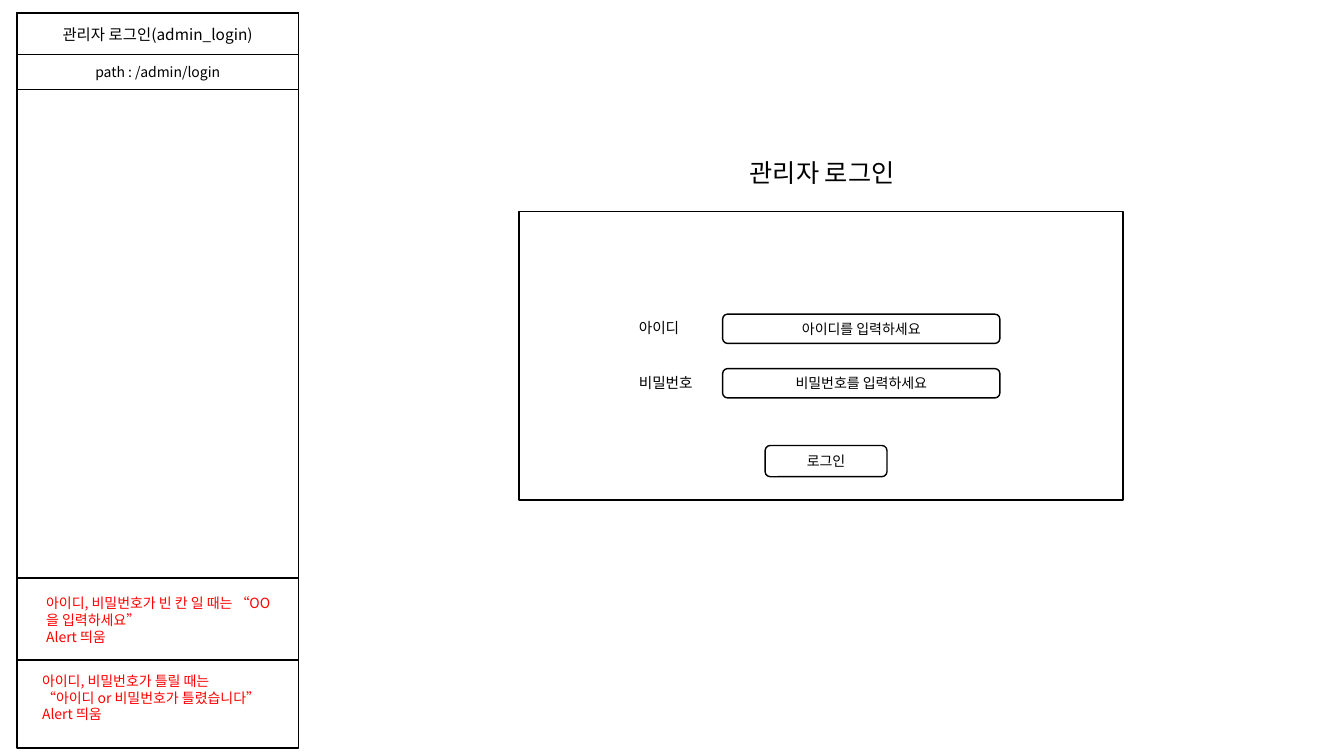
from pptx import Presentation
from pptx.dml.color import RGBColor
from pptx.enum import shapes, text
from pptx.oxml import ns
from pptx.util import Pt
from lxml import etree

BLACK = RGBColor(0x00, 0x00, 0x00)
WHITE = RGBColor(0xFF, 0xFF, 0xFF)
RED = RGBColor(0xFF, 0x00, 0x00)
FONT = "Noto Sans CJK KR"
RECT = shapes.MSO_SHAPE.RECTANGLE
ROUNDED = shapes.MSO_SHAPE.ROUNDED_RECTANGLE
LEFT, CENTER = text.PP_ALIGN.LEFT, text.PP_ALIGN.CENTER
TOP, MIDDLE = text.MSO_ANCHOR.TOP, text.MSO_ANCHOR.MIDDLE


def write(sp, lines, size, color=BLACK, align=LEFT, anchor=TOP):
    tf = sp.text_frame
    tf.word_wrap = True
    tf.auto_size = text.MSO_AUTO_SIZE.NONE
    tf.vertical_anchor = anchor
    tf.margin_left = tf.margin_right = Pt(7.2)
    tf.margin_top = tf.margin_bottom = Pt(3.6)
    for i, line in enumerate(lines):
        p = tf.add_paragraph() if i else tf.paragraphs[0]
        p.alignment = align
        r = p.add_run()
        r.text = line
        r.font.size = Pt(size)
        r.font.color.rgb = color
        r.font.name = FONT
        ea = etree.SubElement(r.font._element, ns.qn("a:ea"))
        ea.set("typeface", FONT)


def add_box(s, kind, x, y, w, h, label=None, size=10):
    sp = s.shapes.add_shape(kind, Pt(x), Pt(y), Pt(w), Pt(h))
    sp.shadow.inherit = False
    sp.fill.solid()
    sp.fill.fore_color.rgb = WHITE
    sp.line.color.rgb = BLACK
    sp.line.width = Pt(1)
    if label:
        write(sp, [label], size, align=CENTER, anchor=MIDDLE)


def add_text(s, x, y, w, h, lines, size, color=BLACK):
    sp = s.shapes.add_textbox(Pt(x), Pt(y), Pt(w), Pt(h))
    write(sp, lines, size, color)


def add_divider(s, x, y, w):
    line = s.shapes.add_connector(shapes.MSO_CONNECTOR.STRAIGHT, Pt(x), Pt(y), Pt(x + w), Pt(y))
    line.line.color.rgb = BLACK
    line.line.width = Pt(1.5)
    etree.SubElement(line._element.spPr, ns.qn("a:effectLst"))


def add_spec_panel(s, x, y, w, h):
    """Side panel: page name, path, and the alert rules at the bottom."""
    add_box(s, RECT, x, y, w, h)
    add_box(s, RECT, x, y, w, 29.5, "관리자 로그인(admin_login)", 11)
    add_box(s, RECT, x, y + 29.5, w, 25.2, "path : /admin/login")
    notes = [
        (403.2, 13.7, 8.6, ["아이디, 비밀번호가 빈 칸 일 때는 “OO을 입력하세요”", "Alert 띄움"]),
        (462.2, 10.8, 5, ["아이디, 비밀번호가 틀릴 때는", "“아이디 or 비밀번호가 틀렸습니다”", "Alert 띄움"]),
    ]
    for top, indent, gap, lines in notes:
        add_divider(s, x, y + top, w)
        add_text(s, x + indent, y + top + gap, 175, 43.9, lines, 10, RED)


def add_title(s, x, y, w, h):
    title = s.shapes.title
    title.left, title.top, title.width, title.height = Pt(x), Pt(y), Pt(w), Pt(h)
    write(title, ["관리자 로그인"], 18, align=CENTER)


def add_login_form(s, x, y, w, h):
    add_box(s, RECT, x, y, w, h)
    fields = [("아이디", "아이디를 입력하세요"), ("비밀번호", "비밀번호를 입력하세요")]
    for i, (label, hint) in enumerate(fields):
        top = y + 73.2 + i * 38.9
        add_text(s, x + 78.5, top, 97.2, 20.9, [label], 10.5)
        add_box(s, ROUNDED, x + 145.4, top, 198, 20.9, hint)
    add_box(s, ROUNDED, x + 175.7, y + 167, 87.1, 22.3, "로그인")


def main():
    prs = Presentation()
    prs.slide_width, prs.slide_height = Pt(960), Pt(540)
    s = prs.slides.add_slide(prs.slide_layouts[5])
    add_title(s, 464.4, 108.7, 245.5, 28.8)
    add_spec_panel(s, 12.2, 9.4, 200.9, 524.8)
    add_login_form(s, 370.8, 151.2, 431.3, 205.9)
    prs.save("out.pptx")


if __name__ == "__main__":
    main()
